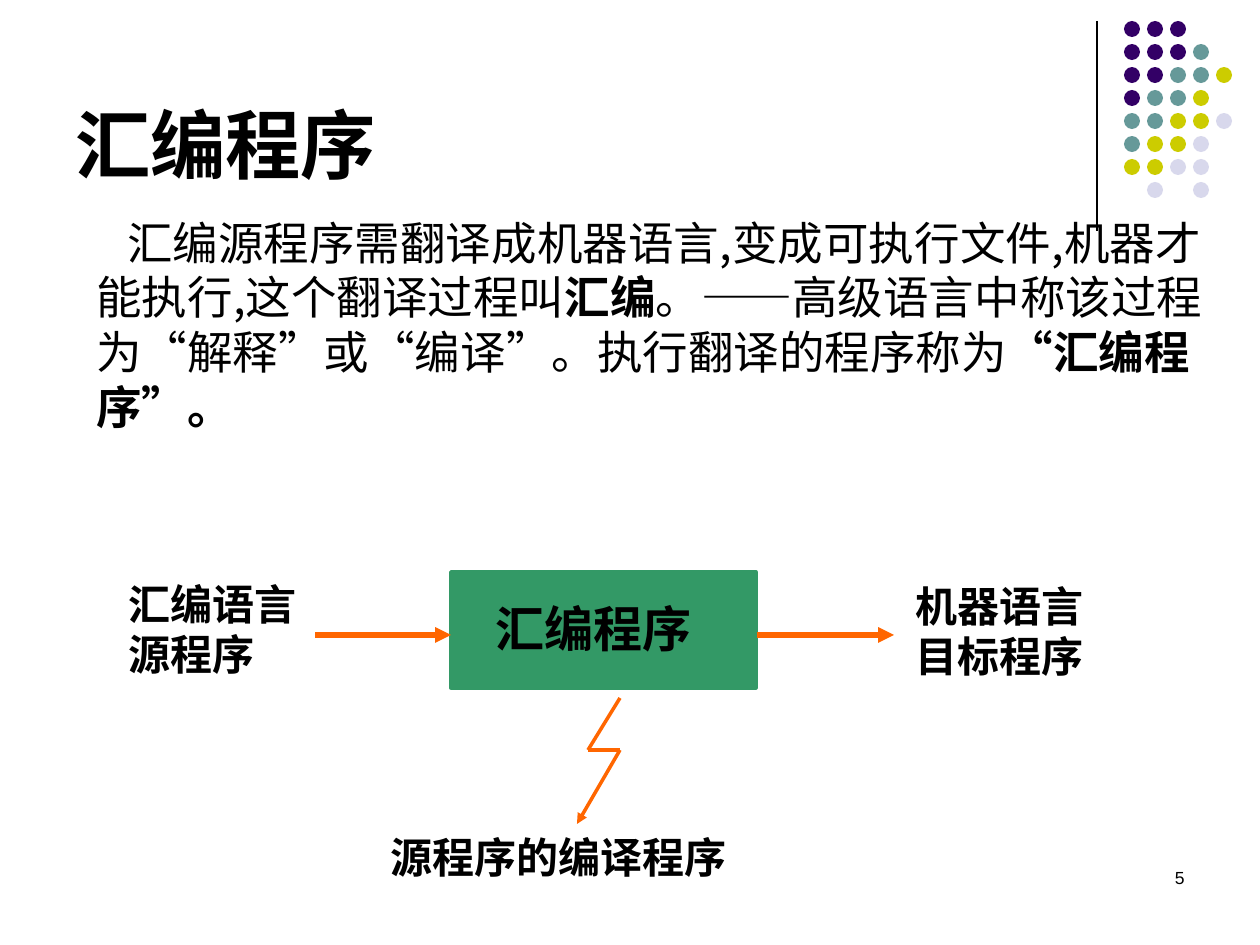
from itertools import pairwise

from lxml import etree
from pptx import Presentation
from pptx.dml.color import RGBColor
from pptx.enum.shapes import MSO_CONNECTOR, MSO_SHAPE
from pptx.enum.text import MSO_ANCHOR, PP_ALIGN
from pptx.oxml.ns import qn
from pptx.util import Emu, Pt

STRAIGHT = MSO_CONNECTOR.STRAIGHT
OVAL, RECTANGLE = MSO_SHAPE.OVAL, MSO_SHAPE.RECTANGLE
TOP, MIDDLE, BOTTOM = MSO_ANCHOR.TOP, MSO_ANCHOR.MIDDLE, MSO_ANCHOR.BOTTOM
LEFT, RIGHT = PP_ALIGN.LEFT, PP_ALIGN.RIGHT

COLORS = {
    "text": "000000",
    "box": "339966",
    "arrow": "FF6600",
    "purple": "330066",
    "teal": "669999",
    "olive": "CCCC00",
    "pale": "D8D8EC",
}
SERIF, SANS, CJK = "Times New Roman", "Arial", "Noto Sans CJK SC"

DOT_ROWS = ["PPP", "PPPT", "PPTTO", "PTTO", "TTOOL", "TOOL", "OOLL", " L L"]
DOT_COLORS = {"P": "purple", "T": "teal", "O": "olive", "L": "pale"}
DOT_LEFT, DOT_TOP, DOT_STEP, DOT_SIZE = 1124, 21, 23, 16

TITLE = "汇编程序"
EXPLANATION = [
    ("汇编源程序需翻译成机器语言,变成可执行文件,机器才能执行,这个翻译过程叫", False),
    ("汇编", True),
    ("。——高级语言中称该过程为“解释”或“编译”。执行翻译的程序称为", False),
    ("“汇编程序”。", True),
]
LABELS = [
    ("源程序的编译程序", (378, 825, 483, 63)),
    ("汇编语言源程序", (116, 572, 220, 113)),
    ("机器语言目标程序", (903, 574, 231, 113)),
]
ASSEMBLER_BOX = (451, 572, 305, 116)
FLOW_ARROWS = [[(315, 635), (451, 635)], [(757, 635), (894, 635)]]
LIGHTNING = [(620, 698), (588, 750), (620, 750), (577, 824)]

PX = 914400 / 126


def px(*lengths):
    return [Emu(round(length * PX)) for length in lengths]


def color(name):
    return RGBColor.from_string(COLORS[name])


def add_text(slide, text, at, size, font, bold=True, anchor=TOP, align=LEFT, indent=0):
    frame = slide.shapes.add_textbox(*px(*at)).text_frame
    frame.word_wrap = True
    frame.vertical_anchor = anchor
    paragraph = frame.paragraphs[0]
    paragraph.alignment = align
    if indent:
        paragraph._p.get_or_add_pPr().set("indent", str(px(indent)[0]))
    for words, is_bold in [(text, bold)] if isinstance(text, str) else text:
        run = paragraph.add_run()
        run.text = words
        run.font.size = Pt(size)
        run.font.name = font
        run.font.bold = is_bold
        run.font.color.rgb = color("text")


def add_shape(slide, kind, at, fill, line_width=0):
    shape = slide.shapes.add_shape(kind, *px(*at))
    shape.shadow.inherit = False
    shape.fill.solid()
    shape.fill.fore_color.rgb = color(fill)
    if line_width:
        shape.line.color.rgb = color(fill)
        shape.line.width = Pt(line_width)
    else:
        shape.line.fill.background()


def add_path(slide, points, line_color, width, arrow=True):
    for start, end in pairwise(points):
        line = slide.shapes.add_connector(STRAIGHT, *px(*start, *end))
        line.line.color.rgb = color(line_color)
        line.line.width = Pt(width)
        if arrow and end == points[-1]:
            etree.SubElement(line.line._get_or_add_ln(), qn("a:tailEnd"), type="triangle")
        etree.SubElement(line._element.spPr, qn("a:effectLst"))


def main():
    deck = Presentation()
    deck.slide_width, deck.slide_height = px(1260, 945)
    slide = deck.slides.add_slide(deck.slide_layouts[6])

    add_path(slide, [(1097, 21), (1097, 231)], "text", 0.75, arrow=False)
    for row, dots in enumerate(DOT_ROWS):
        for column, dot in enumerate(dots):
            if dot in DOT_COLORS:
                left = DOT_LEFT + column * DOT_STEP
                top = DOT_TOP + row * DOT_STEP
                add_shape(slide, OVAL, (left, top, DOT_SIZE, DOT_SIZE), DOT_COLORS[dot])

    add_text(slide, TITLE, (63, 45, 1040, 150), 43, SANS, anchor=BOTTOM)
    add_shape(slide, RECTANGLE, ASSEMBLER_BOX, "box", line_width=2)
    add_text(slide, TITLE, (483, 592, 262, 72), 28, SANS)
    for label, at in LABELS:
        add_text(slide, label, at, 24, SERIF)
    for arrow in FLOW_ARROWS:
        add_path(slide, arrow, "arrow", 3)
    add_path(slide, LIGHTNING, "arrow", 2)

    add_text(slide, EXPLANATION, (84, 195, 1142, 258), 26, CJK, anchor=MIDDLE, indent=31)
    add_text(slide, "5", (903, 861, 294, 63), 10, SANS, bold=False, align=RIGHT)
    deck.save("out.pptx")


if __name__ == "__main__":
    main()
